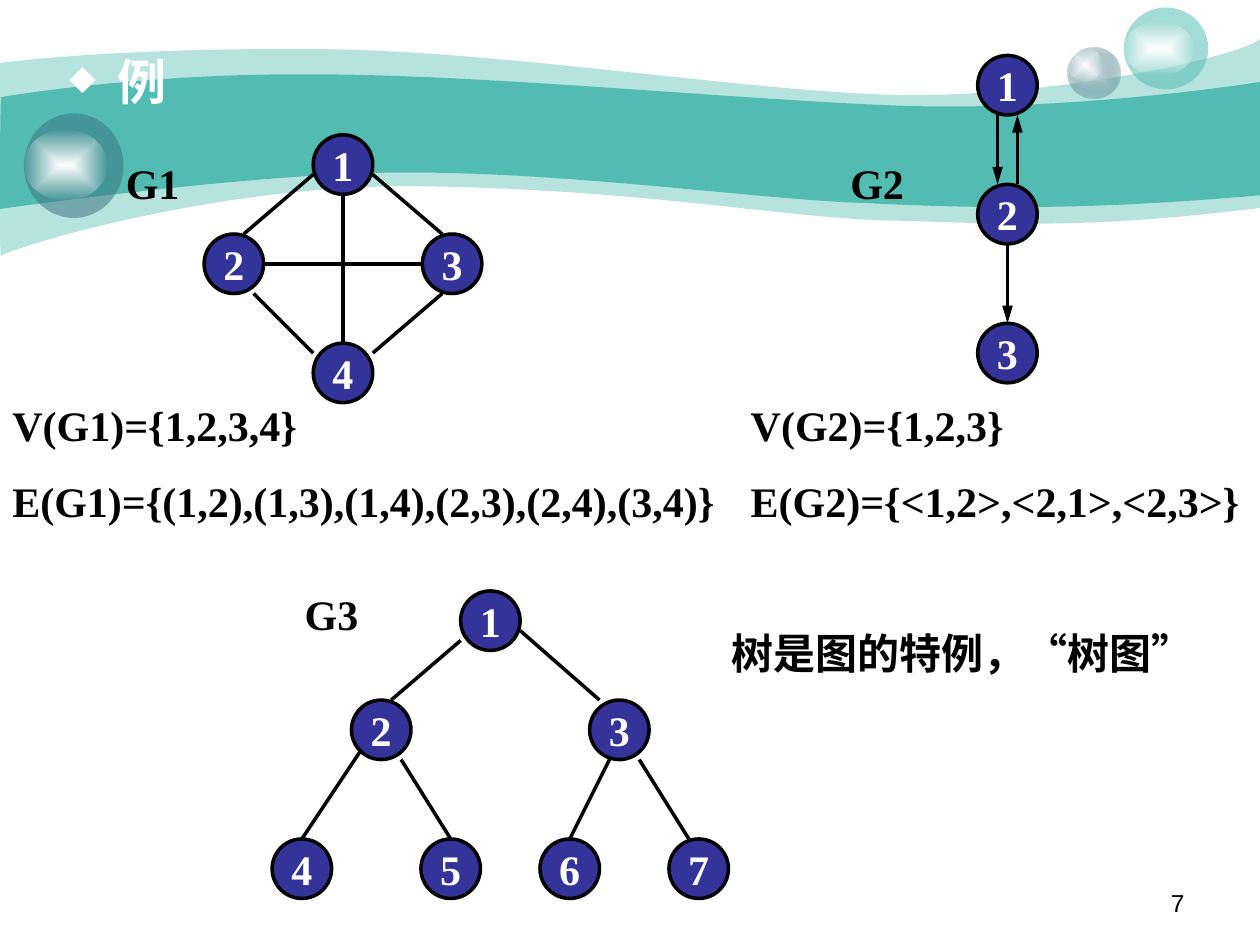
from dataclasses import dataclass

from lxml.etree import SubElement
from pptx import Presentation
from pptx.dml.color import RGBColor
from pptx.enum.shapes import MSO_CONNECTOR, MSO_SHAPE
from pptx.enum.text import MSO_ANCHOR, MSO_AUTO_SIZE, PP_ALIGN
from pptx.oxml.ns import qn
from pptx.util import Inches, Pt


@dataclass(frozen=True)
class Theme:
    teal: str = "52BCB2"
    slate: str = "37737F"
    mist: str = "CCDBDE"
    node: str = "333399"
    ink: str = "000000"
    white: str = "FFFFFF"
    serif: str = "Times New Roman"
    sans: str = "Arial"
    head: int = 28
    body: int = 24
    foot: int = 14
    line: int = 2
    gap: int = 15


THEME = Theme()
UNIT = 0.2 / 2.54  # graphs sit on a 2 mm grid
SIZE = 6           # node diameter in grid units

# Wave outlines: start point, then Bezier segments and straight ends
OUTER = [(0, 0.5),
         [(0.24, 0.47), (1.07, 0.38), (2.47, 0.39)],
         [(3.86, 0.39), (5.75, 0.7), (6.99, 0.75)],
         [(8.22, 0.8), (9.8, 0.47), (10, 0.31)],
         [(10, 1.65)],
         [(8.58, 1.83), (7.87, 1.77), (7.05, 1.75)],
         [(6.22, 1.73), (5.15, 1.51), (3.43, 1.48)],
         [(1.72, 1.44), (0.04, 1.99), (0.01, 2.03)],
         [(-0.01, 2.08), (0, 0.75), (0, 0.5)]]
INNER = [(0.01, 0.77),
         [(0.02, 0.77), (1.1, 0.58), (2.48, 0.59)],
         [(3.86, 0.59), (5.95, 0.8), (7.18, 0.84)],
         [(8.41, 0.88), (9.76, 0.69), (10, 0.65)],
         [(10, 1.55)],
         [(8.53, 1.68), (7.65, 1.65), (6.82, 1.61)],
         [(5.99, 1.58), (4.47, 1.36), (3.17, 1.37)],
         [(2.03, 1.37), (-0.02, 1.66), (-0.01, 1.66)],
         [(0, 1.66), (0, 0.77), (0.01, 0.77)]]

# Graphs: node spots and edges (x1, y1, x2, y2) in grid units
G1 = ({1: (11, 0), 4: (11, 21), 2: (0, 10), 3: (22, 10)},
      [(6, 13, 22, 13), (14, 6, 14, 21), (5, 16, 11, 22),
       (17, 22, 24, 16), (17, 4, 24, 10), (11, 4, 4, 10)])
G2 = ({1: (0, 0), 2: (0, 13), 3: (0, 27)},
      [(2, 6, 2, 13), (3, 19, 3, 27), (4, 13, 4, 6)])
G3 = ({1: (19, 0), 2: (8, 11), 3: (32, 11),
       4: (0, 25), 5: (15, 25), 6: (27, 25), 7: (40, 25)},
      [(19, 5, 12, 11), (25, 4, 33, 11), (9, 16, 3, 25),
       (13, 17, 18, 25), (34, 17, 30, 25), (37, 17, 42, 25)])


def inch(*vals):
    return [Inches(v) for v in vals]


def apply(obj, **vals):
    for name, val in vals.items():
        setattr(obj, name, val)


def tint(fill, color, alpha=100):
    fill.solid()
    fill.fore_color.rgb = RGBColor.from_string(color)
    if alpha < 100:
        clr = fill._xPr.find(qn("a:solidFill"))[0]
        SubElement(clr, qn("a:alpha"), val=str(alpha * 1000))


def glow(shape, stops):
    """Fill a shape with a gradient from its centre outwards."""
    grad = SubElement(shape._element.spPr, qn("a:gradFill"), rotWithShape="1")
    shape._element.spPr.find(qn("a:prstGeom")).addnext(grad)
    steps = SubElement(grad, qn("a:gsLst"))
    for pos, color, alpha in stops:
        stop = SubElement(steps, qn("a:gs"), pos=str(pos * 1000))
        clr = SubElement(stop, qn("a:srgbClr"), val=color)
        SubElement(clr, qn("a:alpha"), val=str(alpha * 1000))
    way = SubElement(grad, qn("a:path"), **{"path": "rect"})
    SubElement(way, qn("a:fillToRect"), l="50000", t="50000", r="50000", b="50000")


def style(para, color, size=THEME.body, face=THEME.serif, bold=True):
    apply(para.font, name=face, size=Pt(size), bold=bold)
    para.font.color.rgb = RGBColor.from_string(color)


def text(slide, box, lines, align=PP_ALIGN.LEFT, **look):
    frame = slide.shapes.add_textbox(*inch(*box)).text_frame
    frame.word_wrap = True
    for i, line in enumerate(lines):
        para = frame.add_paragraph() if i else frame.paragraphs[0]
        apply(para, text=line, alignment=align)
        if i:
            para.space_before = Pt(THEME.gap)
        style(para, THEME.ink, **look)


def wave(slide, start, *parts, alpha=100):
    """Draw an outline in hundredths of an inch, then bend its sides."""
    ends = [tuple(round(v * 100) for v in p) for p in (start, *(q[-1] for q in parts))]
    form = slide.shapes.build_freeform(*ends[0], scale=Inches(0.01))
    form.add_line_segments(ends[1:], close=True)
    shape = form.convert_to_shape()
    left, top = (min(p[k] for p in ends) for k in (0, 1))
    sides = list(shape._element.iter(qn("a:lnTo")))
    for side, part in zip(sides, parts):
        if len(part) == 3:
            side.tag = qn("a:cubicBezTo")
            side.remove(side[0])
            for x, y in part:
                SubElement(side, qn("a:pt"), x=str(round(x * 100) - left),
                           y=str(round(y * 100) - top))
    shape.shadow.inherit = False
    shape.line.fill.background()
    tint(shape.fill, THEME.teal, alpha)


def ball(slide, box, shine, color=None):
    """Draw a sphere and its highlight; without a colour it is a grey glow."""
    group = slide.shapes.add_group_shape()
    base, spot = [group.shapes.add_shape(MSO_SHAPE.OVAL, *inch(*b))
                  for b in (box, shine)]
    for shape in (base, spot):
        shape.shadow.inherit = False
        shape.line.fill.background()
    if color:
        tint(base.fill, color, 53)
    else:
        glow(base, [(0, THEME.mist, 100), (100, THEME.slate, 31)])
    glow(spot, [(0, THEME.white, 100), (100, THEME.white, 0)])


def graph(slide, left, top, data, arrows=False):
    nodes, edges = data
    group = slide.shapes.add_group_shape()
    for name, (x, y) in nodes.items():
        spot = inch(left + x * UNIT, top + y * UNIT, SIZE * UNIT, SIZE * UNIT)
        node = group.shapes.add_shape(MSO_SHAPE.OVAL, *spot)
        node.shadow.inherit = False
        tint(node.fill, THEME.node)
        tint(node.line.fill, THEME.ink)
        node.line.width = Pt(THEME.line)
        frame = node.text_frame
        apply(frame, word_wrap=False, vertical_anchor=MSO_ANCHOR.MIDDLE)
        para = frame.paragraphs[0]
        apply(para, text=str(name), alignment=PP_ALIGN.CENTER)
        style(para, THEME.white)
    for x1, y1, x2, y2 in edges:
        ends = inch(left + x1 * UNIT, top + y1 * UNIT,
                    left + x2 * UNIT, top + y2 * UNIT)
        edge = group.shapes.add_connector(MSO_CONNECTOR.STRAIGHT, *ends)
        tint(edge.line.fill, THEME.ink)
        edge.line.width = Pt(THEME.line)
        SubElement(edge._element.spPr, qn("a:effectLst"))
        if arrows:
            SubElement(edge.line._get_or_add_ln(), qn("a:tailEnd"),
                       type="triangle", w="med", len="lg")


def heading(slide, box, words):
    title = slide.shapes.title
    title._element.getparent().append(title._element)  # in front of the wave
    apply(title, **dict(zip(("left", "top", "width", "height"), inch(*box))))
    frame = title.text_frame
    apply(frame, word_wrap=True, auto_size=MSO_AUTO_SIZE.NONE,
          vertical_anchor=MSO_ANCHOR.TOP)
    para = frame.paragraphs[0]
    apply(para, text=words, alignment=PP_ALIGN.LEFT)
    props = para._p.get_or_add_pPr()
    props.set("marL", str(Inches(0.48)))
    props.set("indent", str(Inches(-0.38)))
    SubElement(SubElement(props, qn("a:buClr")), qn("a:srgbClr"), val=THEME.white)
    SubElement(props, qn("a:buSzPct"), val="70000")
    SubElement(props, qn("a:buChar"), char="◆")
    para.space_before = Pt(0)
    style(para, THEME.white, THEME.head)


def main():
    deck = Presentation()
    apply(deck, slide_width=Inches(10), slide_height=Inches(7.5))
    slide = deck.slides.add_slide(deck.slide_layouts[5])

    # Backdrop
    wave(slide, *OUTER, alpha=41)
    wave(slide, *INNER)
    ball(slide, (8.47, 0.38, 0.42, 0.4), (8.47, 0.38, 0.28, 0.27))
    ball(slide, (8.92, 0.06, 0.67, 0.65), (8.92, 0.17, 0.56, 0.43), THEME.teal)
    ball(slide, (0.19, 0.9, 0.79, 0.83), (0.19, 1.03, 0.66, 0.56), THEME.slate)

    # Heading and page number
    heading(slide, (0.35, 0.36, 1.26, 0.57), "例")
    text(slide, (7.17, 7, 2.33, 0.35), ["7"], PP_ALIGN.RIGHT,
         size=THEME.foot, face=THEME.sans, bold=False)

    # Graphs
    graph(slide, 7.76, 0.44, G2, arrows=True)
    graph(slide, 1.62, 1.07, G1)
    graph(slide, 2.16, 4.69, G3)

    # Labels and sets
    for name, x, y in (("G1", 0.9, 1.2), ("G2", 6.65, 1.2), ("G3", 2.32, 4.62)):
        text(slide, (x, y, 0.87, 0.5), [name])
    text(slide, (0, 3.12, 5.94, 1.11),
         ["V(G1)={1,2,3,4}", "E(G1)={(1,2),(1,3),(1,4),(2,3),(2,4),(3,4)}"])
    text(slide, (5.86, 3.12, 4.14, 1.11),
         ["V(G2)={1,2,3}", "E(G2)={<1,2>,<2,1>,<2,3>}"])
    text(slide, (5.71, 4.93, 3.9, 0.5), ["树是图的特例，“树图”"])

    deck.save("out.pptx")


if __name__ == "__main__":
    main()
